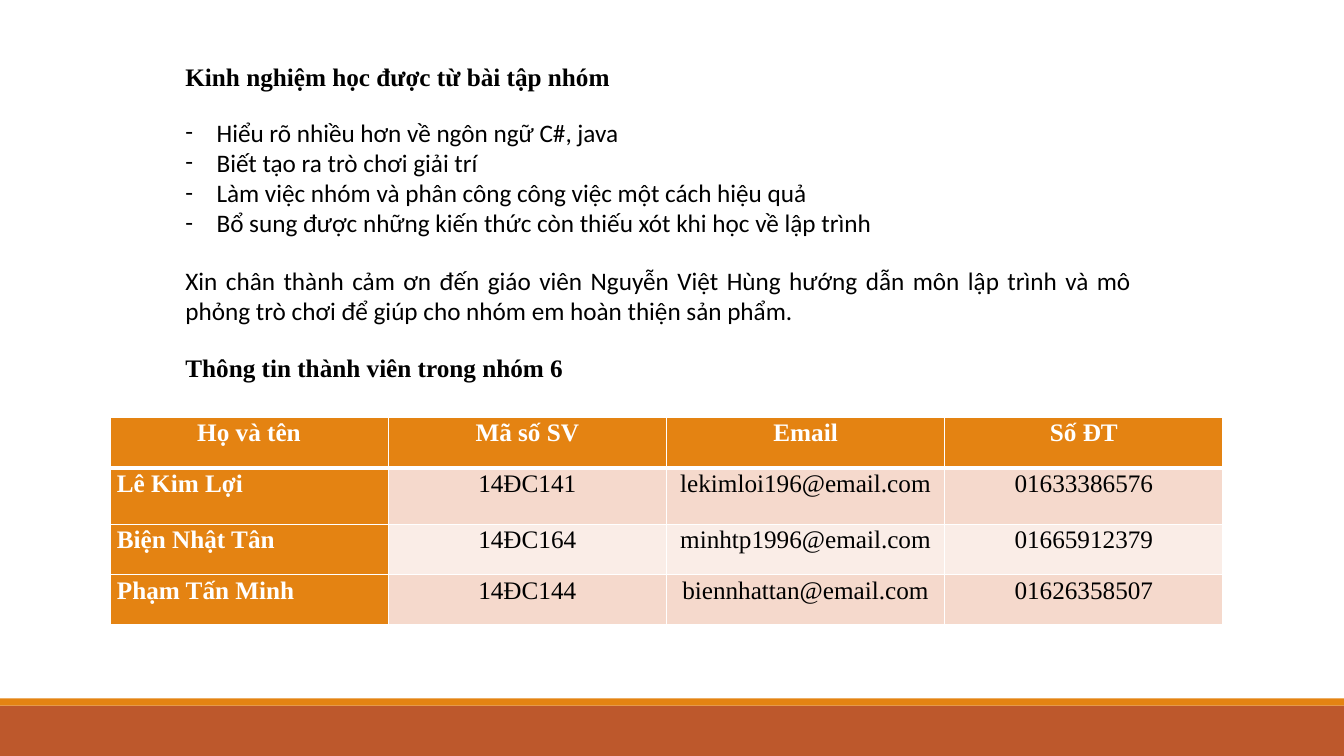
from dataclasses import dataclass

from lxml.etree import SubElement
from pptx import Presentation
from pptx.dml.color import RGBColor
from pptx.enum.shapes import MSO_SHAPE as Shape
from pptx.enum.text import MSO_AUTO_SIZE as AutoSize, PP_ALIGN as Align
from pptx.oxml.ns import qn
from pptx.util import Inches, Pt


@dataclass(frozen=True)
class Theme:
    orange: RGBColor = RGBColor.from_string("E48312")
    rust: RGBColor = RGBColor.from_string("BD582C")
    band_dark: RGBColor = RGBColor.from_string("F5D9CC")
    band_light: RGBColor = RGBColor.from_string("FAEDE7")
    white: RGBColor = RGBColor.from_string("FFFFFF")
    black: RGBColor = RGBColor.from_string("000000")
    heading_font: str = "Times New Roman"
    body_font: str = "Calibri"
    size: int = 18
    rule: float = 1
    header_rule: float = 3


THEME = Theme()
TEXT_LEFT = 1.74
LESSONS = [
    "Hiểu rõ nhiều hơn về ngôn ngữ C#, java",
    "Biết tạo ra trò chơi giải trí",
    "Làm việc nhóm và phân công công việc một cách hiệu quả",
    "Bổ sung được những kiến thức còn thiếu xót khi học về lập trình",
]
THANKS = (
    "Xin chân thành cảm ơn đến giáo viên Nguyễn Việt Hùng hướng dẫn môn lập trình "
    "và mô phỏng trò chơi để giúp cho nhóm em hoàn thiện sản phẩm."
)
MEMBERS = [
    ("Họ và tên", "Mã số SV", "Email", "Số ĐT"),
    ("Lê Kim Lợi", "14ĐC141", "lekimloi196@email.com", "01633386576"),
    ("Biện Nhật Tân", "14ĐC164", "minhtp1996@email.com", "01665912379"),
    ("Phạm Tấn Minh", "14ĐC144", "biennhattan@email.com", "01626358507"),
]
COLUMN_WIDTH = 2.76
ROW_HEIGHTS = [0.5, 0.56, 0.5, 0.5]


def style_font(paragraph, name, color, bold=False):
    for run in paragraph.runs:
        run.font.name = name
        run.font.size = Pt(THEME.size)
        run.font.bold = bold
        run.font.color.rgb = color


def add_bar(slide, top, height, color):
    bar = slide.shapes.add_shape(
        Shape.RECTANGLE, 0, Inches(top), Inches(13.33), Inches(height))
    bar.shadow.inherit = False
    bar.fill.solid()
    bar.fill.fore_color.rgb = color
    bar.line.fill.background()


def add_text(slide, text, top, width, height, font, bold=False, wrap=False):
    box = slide.shapes.add_textbox(
        Inches(TEXT_LEFT), Inches(top), Inches(width), Inches(height))
    frame = box.text_frame
    frame.word_wrap = wrap
    frame.auto_size = AutoSize.SHAPE_TO_FIT_TEXT
    frame.text = text
    for paragraph in frame.paragraphs:
        style_font(paragraph, font, THEME.black, bold)
    return frame


def add_heading(slide, text, top, width):
    add_text(slide, text, top, width, 0.4, THEME.heading_font, bold=True)


def add_dash(paragraph):
    properties = paragraph._p.get_or_add_pPr()
    properties.set("marL", str(Inches(0.31)))
    properties.set("indent", str(-Inches(0.31)))
    SubElement(properties, qn("a:buFont"), typeface=THEME.body_font)
    SubElement(properties, qn("a:buChar"), char="-")


def add_border(cell, side, width):
    line = SubElement(cell._tc.get_or_add_tcPr(), qn(f"a:ln{side}"), w=str(Pt(width)))
    fill = SubElement(line, qn("a:solidFill"))
    SubElement(fill, qn("a:srgbClr"), val=str(THEME.white))


def style_cell(cell, row, column):
    is_label = row == 0 or column == 0
    cell.margin_left = cell.margin_right = Inches(0.07)
    cell.margin_top = cell.margin_bottom = 0

    # The rule below the header is shared by the first two rows
    top = THEME.header_rule if row == 1 else THEME.rule
    bottom = THEME.header_rule if row == 0 else THEME.rule
    for side, width in zip("LRTB", (THEME.rule, THEME.rule, top, bottom)):
        add_border(cell, side, width)

    cell.fill.solid()
    band = THEME.band_dark if row % 2 else THEME.band_light
    cell.fill.fore_color.rgb = THEME.orange if is_label else band

    paragraph = cell.text_frame.paragraphs[0]
    paragraph.line_spacing = 1.07
    paragraph.alignment = Align.LEFT if row and column == 0 else Align.CENTER
    color = THEME.white if is_label else THEME.black
    style_font(paragraph, THEME.heading_font, color, is_label)


def add_member_table(slide):
    column_count = len(MEMBERS[0])
    table = slide.shapes.add_table(
        len(MEMBERS), column_count, Inches(1.09), Inches(4.14),
        Inches(COLUMN_WIDTH * column_count), Inches(sum(ROW_HEIGHTS))).table
    table.horz_banding = False
    table.first_col = True
    for column in table.columns:
        column.width = Inches(COLUMN_WIDTH)
    for row, (height, values) in enumerate(zip(ROW_HEIGHTS, MEMBERS)):
        table.rows[row].height = Inches(height)
        for column, value in enumerate(values):
            cell = table.cell(row, column)
            cell.text_frame.text = value
            style_cell(cell, row, column)


def main():
    presentation = Presentation()
    presentation.slide_width = Inches(13.33)
    presentation.slide_height = Inches(7.5)
    slide = presentation.slides.add_slide(presentation.slide_layouts[6])

    # Footer bars
    add_bar(slide, 7, 0.5, THEME.rust)
    add_bar(slide, 6.93, 0.07, THEME.orange)

    # Lessons learned
    add_heading(slide, "Kinh nghiệm học được từ bài tập nhóm", 0.56, 4.45)
    lessons = add_text(slide, "\n".join(LESSONS), 1.11, 7.1, 1.31, THEME.body_font)
    for paragraph in lessons.paragraphs:
        add_dash(paragraph)

    # Thanks to the teacher
    thanks = add_text(slide, THANKS, 2.58, 9.58, 0.71, THEME.body_font, wrap=True)
    thanks.paragraphs[0].alignment = Align.JUSTIFY

    # Group members
    add_heading(slide, "Thông tin thành viên trong nhóm 6", 3.45, 3.98)
    add_member_table(slide)

    presentation.save("out.pptx")


if __name__ == "__main__":
    main()
